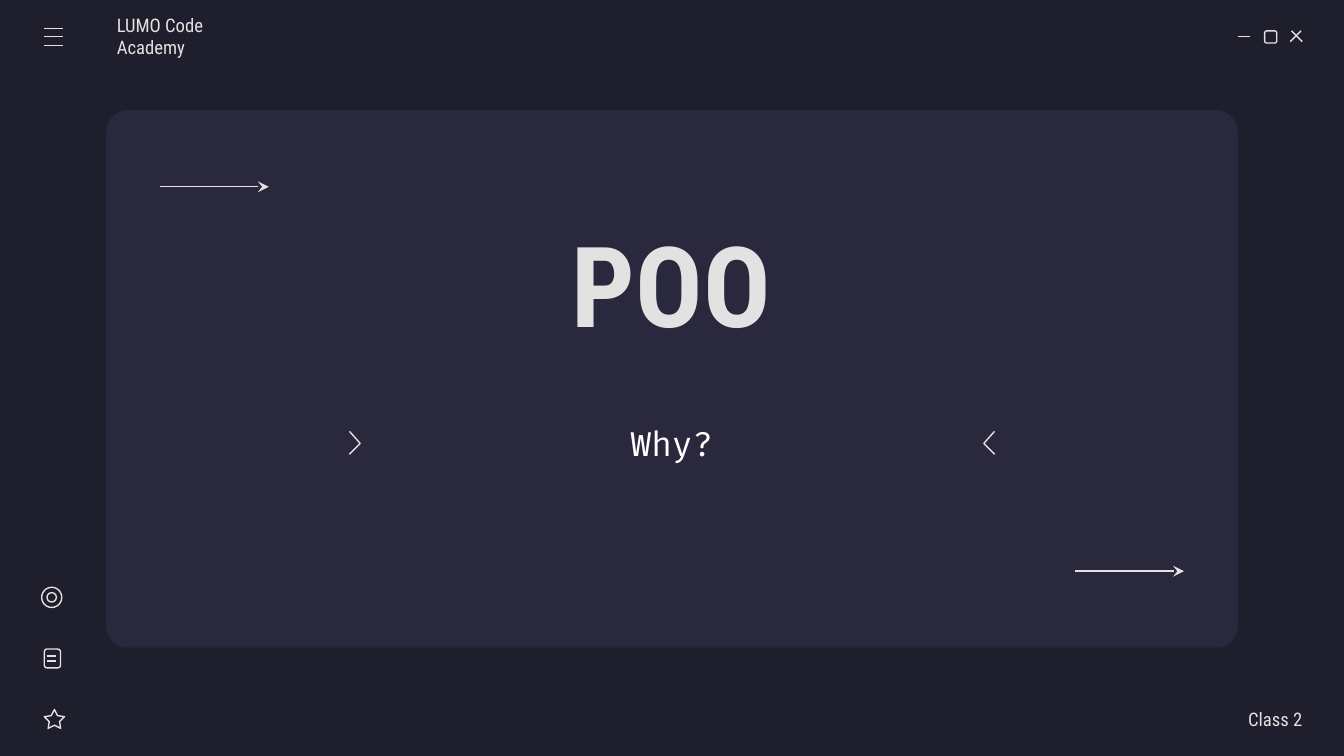
from pptx import Presentation
from pptx.dml.color import RGBColor
from pptx.enum import shapes as es, text as et
from pptx.oxml.ns import qn
from pptx.util import Inches, Pt
from lxml import etree

NIGHT = RGBColor(0x1E, 0x1E, 0x2C)
PANEL = RGBColor(0x29, 0x28, 0x3D)
PALE = RGBColor(0xE2, 0xE2, 0xE2)
WHITE = RGBColor(0xFF, 0xFF, 0xFF)
SANS, MONO = "Roboto Condensed", "Fira Code"
KIND = es.MSO_SHAPE
ALIGN = et.PP_ALIGN

# name: wording, (left, top, width, height), left and right inset, alignment, font
TEXTS = {
    "title": ("POO", (1.96, 1.39, 6.07, 1.42), (0.1, 0.1), ALIGN.CENTER,
              dict(size=Pt(60), name=SANS, bold=True), PALE),
    "sub": ("Why?", (2.68, 2.81, 4.64, 0.97), (0.1, 0.1), ALIGN.CENTER,
            dict(size=Pt(18), name=MONO, bold=False), WHITE),
    "head": ("LUMO Code Academy", (0.87, 0.12, 1.17, 0.3), (0, 0.1), ALIGN.LEFT,
             dict(size=Pt(10), name=SANS, bold=False), PALE),
    "foot": ("Class 2", (8.52, 5.2, 1.17, 0.3), (0.1, 0), ALIGN.RIGHT,
             dict(size=Pt(10), name=SANS, bold=False), PALE),
}

# kind, (left, top, width, height), first adjustment
ICONS = [
    (KIND.ROUNDED_RECTANGLE, (9.41, 0.23, 0.09, 0.09), 0.167),
    (KIND.STAR_5_POINT, (0.33, 5.28, 0.15, 0.14), 0.254),
    (KIND.ROUNDED_RECTANGLE, (0.33, 4.83, 0.12, 0.14), 0.167),
    (KIND.OVAL, (0.31, 4.37, 0.15, 0.15), None),
    (KIND.OVAL, (0.35, 4.41, 0.07, 0.07), None),
]

MENU = [(0.33, y, 0.47, y) for y in (0.21, 0.27, 0.34)]
NOTE = [(0.35, y, 0.42, y) for y in (4.88, 4.92)]
CLOSE = [(9.61, 0.23, 9.69, 0.31), (9.68, 0.23, 9.6, 0.31)]
SHRINK = [(9.21, 0.27, 9.3, 0.27)]
ARROWS = [(1.19, 1.39, 2, 1.39), (8, 4.25, 8.81, 4.25)]
CHEVRONS = [(2.6, 2.68), (7.4, 7.32)]  # open side, tip
CHEVRON_Y = (3.21, 3.3, 3.38)


def inches(nums):
    return [Inches(n) for n in nums]


def stroke(line):
    line.color.rgb = PALE
    line.width = Pt(0.75)


def add_icon(slide, kind, box, adj):
    icon = slide.shapes.add_shape(kind, *inches(box))
    icon.shadow.inherit = False
    icon.fill.background()
    stroke(icon.line)
    if adj is not None:
        icon.adjustments[0] = adj


def add_line(slide, ends, arrow=False):
    link = slide.shapes.add_connector(es.MSO_CONNECTOR.STRAIGHT, *inches(ends))
    stroke(link.line)
    props = link._element.spPr
    if arrow:
        etree.SubElement(props.find(qn("a:ln")), qn("a:tailEnd"), type="stealth")
    etree.SubElement(props, qn("a:effectLst"))


def add_chevron(slide, side, tip):
    pts = [inches(p) for p in zip((side, tip, side), CHEVRON_Y)]
    pen = slide.shapes.build_freeform(*pts[0])
    pen.add_line_segments(pts[1:], close=False)
    mark = pen.convert_to_shape()
    mark.shadow.inherit = False
    mark.fill.background()
    stroke(mark.line)


def set_text(shape, words, box, pads, align, font, color):
    shape.left, shape.top, shape.width, shape.height = inches(box)
    frame = shape.text_frame
    frame.text = words
    left, right = inches(pads)
    look = dict(word_wrap=True, auto_size=et.MSO_AUTO_SIZE.NONE,
                vertical_anchor=et.MSO_ANCHOR.MIDDLE,
                margin_left=left, margin_right=right,
                margin_top=Inches(0.1), margin_bottom=Inches(0.1))
    para = frame.paragraphs[0]
    flow = dict(alignment=align, space_before=Pt(0), line_spacing=1.0)
    run = para.runs[0]
    for part, vals in ((frame, look), (para, flow), (run.font, font)):
        for key, val in vals.items():
            setattr(part, key, val)
    run.font.color.rgb = color


def main():
    deck = Presentation()
    deck.slide_width = Inches(10)
    deck.slide_height = Inches(10 * 9 / 16)
    slide = deck.slides.add_slide(deck.slide_layouts[0])
    slide.background.fill.solid()
    slide.background.fill.fore_color.rgb = NIGHT

    panel = slide.shapes.add_shape(KIND.ROUNDED_RECTANGLE,
                                   *inches((0.79, 0.82, 8.42, 4)))
    panel.adjustments[0] = 0.04
    panel.shadow.inherit = False
    panel.fill.solid()
    panel.fill.fore_color.rgb = PANEL
    panel.line.fill.background()
    tree = slide.shapes._spTree
    tree.remove(panel._element)
    tree.insert(2, panel._element)  # behind the placeholders

    holders = {"title": slide.shapes.title, "sub": slide.placeholders[1]}
    for name, item in TEXTS.items():
        shape = holders.get(name) or slide.shapes.add_textbox(*inches(item[1]))
        set_text(shape, *item)

    for icon in ICONS:
        add_icon(slide, *icon)
    for ends in MENU + NOTE + CLOSE + SHRINK:
        add_line(slide, ends)
    for ends in ARROWS:
        add_line(slide, ends, arrow=True)
    for side, tip in CHEVRONS:
        add_chevron(slide, side, tip)
    deck.save("out.pptx")


if __name__ == "__main__":
    main()
